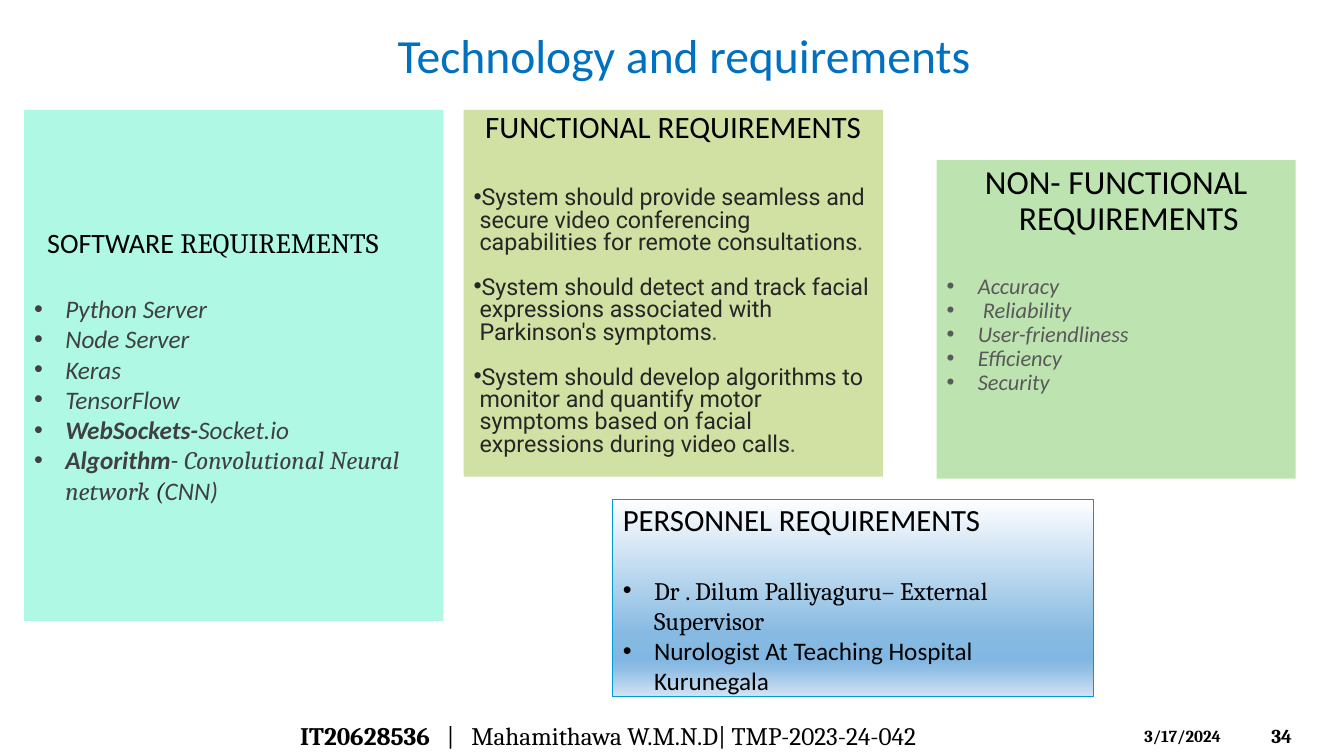
from dataclasses import dataclass
from functools import partial

from lxml import etree
from pptx import Presentation
from pptx.dml.color import RGBColor
from pptx.enum.shapes import MSO_SHAPE
from pptx.enum.text import MSO_ANCHOR, PP_ALIGN
from pptx.oxml.ns import qn
from pptx.util import Emu, Inches, Pt

RECT = MSO_SHAPE.RECTANGLE
TOP, MIDDLE = MSO_ANCHOR.TOP, MSO_ANCHOR.MIDDLE
LEFT, CENTER = PP_ALIGN.LEFT, PP_ALIGN.CENTER
SANS, SERIF, ROBOTO = "Calibri", "Cambria", "Roboto"
BLACK, BLUE = "000000", "0070C0"
DARK, SLATE, GREY = "262626", "404040", "595959"

prs = Presentation()
prs.slide_width, prs.slide_height = Inches(13.33), Inches(7.5)


@dataclass
class Run:
    text: str
    size: float
    font: str = SANS
    color: str = BLACK
    bold: bool = False
    italic: bool = False


@dataclass
class Para:
    runs: list[Run]
    align: PP_ALIGN = LEFT
    left: float = 0
    first: float = 0
    spacing: float = 1
    before: float = 0
    bullet: bool = False


@dataclass
class Box:
    """A text area; x, y, w and h are percentages of the slide's size."""
    x: float
    y: float
    w: float
    h: float
    paras: list[Para]
    anchor: MSO_ANCHOR = TOP
    fill: str = ""
    stops: tuple = ()
    line: str = ""


def rgb(value: str) -> RGBColor:
    return RGBColor.from_string(value)


def area(x: float, y: float, w: float, h: float) -> list[Emu]:
    """Turn percentages of the slide into lengths."""
    return [Emu(round(share * side / 100)) for share, side in
            ((x, prs.slide_width), (y, prs.slide_height),
             (w, prs.slide_width), (h, prs.slide_height))]


def write(tf, paras: list[Para], anchor: MSO_ANCHOR) -> None:
    tf.word_wrap = True
    tf.vertical_anchor = anchor
    for i, para in enumerate(paras):
        p = tf.paragraphs[0] if i == 0 else tf.add_paragraph()
        p.alignment = para.align
        p.line_spacing = para.spacing
        p.space_before = Pt(para.before)
        pPr = p._p.get_or_add_pPr()
        pPr.set("marL", str(Inches(para.left)))
        pPr.set("indent", str(Inches(para.first)))
        if para.bullet:
            etree.SubElement(pPr, qn("a:buFont"), typeface="Arial")
            etree.SubElement(pPr, qn("a:buChar"), char="•")
        for run in para.runs:
            r = p.add_run()
            r.text = run.text
            r.font.name, r.font.size = run.font, Pt(run.size)
            r.font.bold, r.font.italic = run.bold, run.italic
            r.font.color.rgb = rgb(run.color)


def fill_half_clear(sp, color: str) -> None:
    sp.fill.solid()
    sp.fill.fore_color.rgb = rgb(color)
    clr = sp._element.spPr.find(qn("a:solidFill"))[0]
    etree.SubElement(clr, qn("a:alpha"), val="50000")


def fill_gradient(sp, stops: tuple) -> None:
    """Fill from top to bottom with (percentage, colour) stops."""
    sp.fill.gradient()
    sp.fill.gradient_angle = 270
    gs_lst = sp._element.spPr.find(qn("a:gradFill")).find(qn("a:gsLst"))
    for gs in list(gs_lst):
        gs_lst.remove(gs)
    for pos, color in stops:
        gs = etree.SubElement(gs_lst, qn("a:gs"), pos=str(pos * 1000))
        etree.SubElement(gs, qn("a:srgbClr"), val=color)


def draw(s, box: Box) -> None:
    place = area(box.x, box.y, box.w, box.h)
    if box.fill or box.stops:
        sp = s.shapes.add_shape(RECT, *place)
        sp.shadow.inherit = False
        if box.stops:
            fill_gradient(sp, box.stops)
        else:
            fill_half_clear(sp, box.fill)
        if box.line:
            sp.line.color.rgb = rgb(box.line)
            sp.line.width = Pt(0.75)
        else:
            sp.line.fill.background()
    else:
        sp = s.shapes.add_textbox(*place)
    write(sp.text_frame, box.paras, box.anchor)


tool = partial(Run, size=18, color=SLATE, italic=True)
demand = partial(Run, size=16.6, font=ROBOTO, color=DARK)
quality = partial(Run, size=16, color=GREY, italic=True)
footer = partial(Run, size=18, font=SERIF)
item = partial(Para, left=0.31, first=-0.31, bullet=True)
centred = partial(Para, align=CENTER, left=0.25, first=-0.25)

tools = [
    [tool("Python Server")],
    [tool("Node Server")],
    [tool("Keras")],
    [tool("TensorFlow")],
    [tool("WebSockets-", bold=True), tool("Socket.io")],
    [tool("Algorithm", bold=True), tool("- "),
     tool("Convolutional Neural network ", font=SERIF),
     tool("(", font=SERIF, color=DARK), tool("CNN)")],
]
demands = [
    "System should provide seamless and secure video conferencing "
    "capabilities for remote consultations",
    "System should detect and track facial expressions associated with "
    "Parkinson's symptoms",
    "System should develop algorithms to monitor and quantify motor symptoms "
    "based on facial expressions during video calls",
]
qualities = ["Accuracy", " Reliability", "User-friendliness", "Efficiency",
             "Security"]
people = [("Dr . Dilum Palliyaguru– External Supervisor", SERIF),
          ("Nurologist At Teaching Hospital Kurunegala", SANS)]

boxes = [
    Box(1.8, 14.53, 31.2, 67.6, [
        Para([Run("SOFTWARE ", 20), Run("REQUIREMENTS", 20, SERIF)], left=0.13),
        *(item(runs, before=0 if i else 24.4) for i, runs in enumerate(tools)),
    ], MIDDLE, fill="5FF3CA"),
    Box(34.5, 14.53, 31.2, 48.53, [
        centred([Run("FUNCTIONAL REQUIREMENTS", 22.2)], spacing=0.8),
        *(item([demand(text), demand(".", font=SANS, color=GREY)], left=0.06,
               spacing=0.8, before=16.2 if i else 31)
          for i, text in enumerate(demands)),
    ], fill="A5C249"),
    Box(69.7, 21.2, 26.7, 42.13, [
        centred([Run("NON- FUNCTIONAL REQUIREMENTS", 24)], spacing=0.9),
        *(item([quality(text)], spacing=0.9, before=0 if i else 26.4)
          for i, text in enumerate(qualities)),
    ], fill="7CCA62"),
    Box(45.6, 66.13, 35.8, 26, [
        Para([Run("PERSONNEL REQUIREMENTS", 22)]),
        *(item([Run(text, 18, font)], before=0 if i else 26.8)
          for i, (text, font) in enumerate(people)),
    ], MIDDLE, line="009AD4",
        stops=((0, "FEFEFF"), (68, "87BAE2"), (81, "81B7E2"), (86, "90BEE4"),
               (100, "D3E3F3"))),
    Box(21.6, 94.67, 55.9, 5.33, [
        Para([footer("IT20628536", bold=True),
              footer("   |   Mahamithawa W.M.N.D| TMP-2023-24-042")]),
    ], MIDDLE),
    Box(84.4, 95.33, 8.78, 4,
        [Para([footer("3/17/2024", size=12, bold=True)])]),
    Box(93.85, 94.67, 5.55, 5.33,
        [Para([footer("34", size=14, bold=True)])], MIDDLE),
]

s = prs.slides.add_slide(prs.slide_layouts[5])
title = s.shapes.title
title.left, title.top, title.width, title.height = area(23.78, 1.73, 54.24, 18.13)
title.text_frame.margin_top = Inches(0.13)
write(title.text_frame,
      [Para([Run("Technology and requirements", 34, color=BLUE)], CENTER)], TOP)
for box in boxes:
    draw(s, box)
prs.save("out.pptx")
